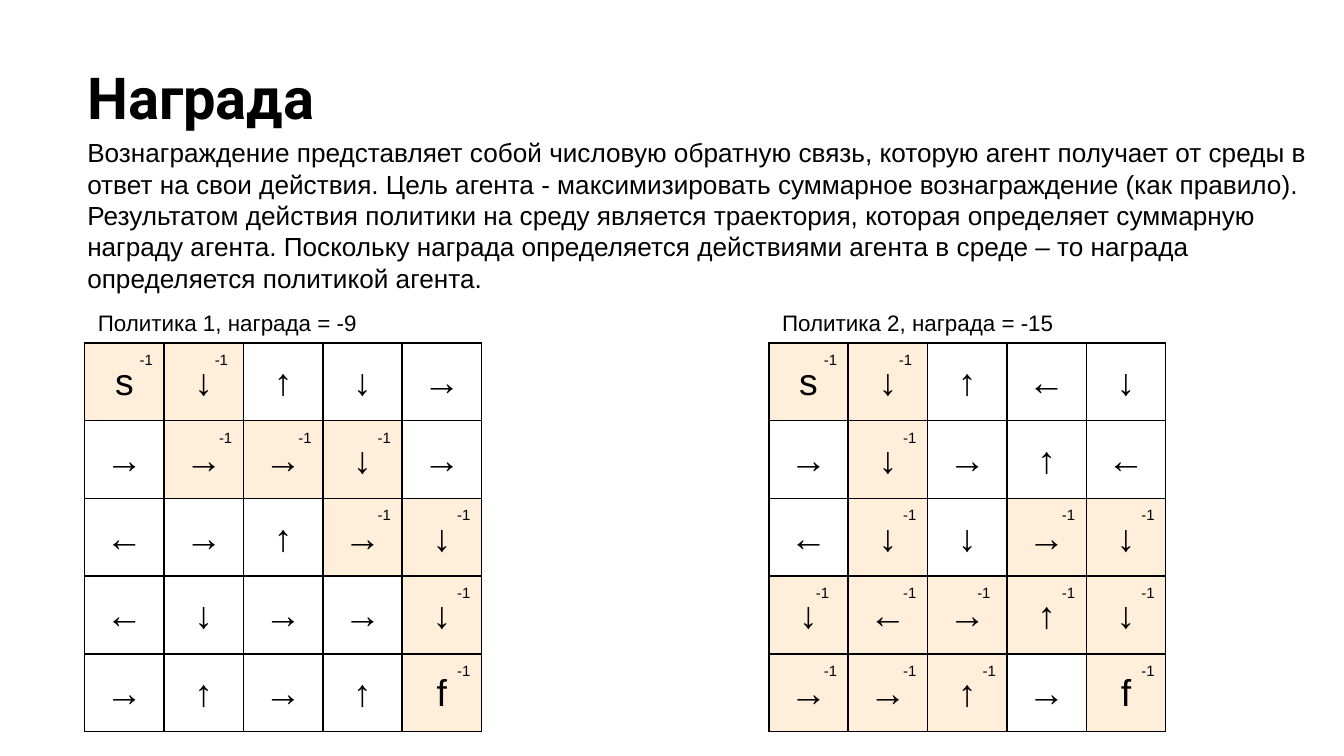
from dataclasses import dataclass

from lxml.etree import SubElement
from pptx import Presentation
from pptx.dml.color import RGBColor as Rgb
from pptx.enum.text import MSO_ANCHOR as Anchor, MSO_AUTO_SIZE as Fit, PP_ALIGN as Align
from pptx.oxml.ns import qn
from pptx.util import Cm, Pt


@dataclass(frozen=True)
class Theme:
    ink: str = "000000"
    paper: str = "FFFFFF"
    trail: str = "FFEED9"
    head_font: str = "Roboto"
    font: str = "Arial"
    head: int = 31
    body: int = 14
    label: int = 12
    mark: int = 20
    reward: int = 8
    line: float = 1


THEME = Theme()
CELL_W, CELL_H = 1.5, 1.47
GRID_TOP = 6.48
LABEL_TOP = 5.72

BODY = (
    "Вознаграждение представляет собой числовую обратную связь, которую агент "
    "получает от среды в ответ на свои действия. Цель агента - максимизировать "
    "суммарное вознаграждение (как правило).",
    "Результатом действия политики на среду является траектория, которая "
    "определяет суммарную награду агента. Поскольку награда определяется "
    "действиями агента в среде – то награда определяется политикой агента.",
)

# Each policy: label, left edge, label width, marks, visited cells (#),
# and sideways shifts of single rewards, keyed by row and column.
POLICIES = (
    ("Политика 1, награда = -9", 1.6, 6.43,
     ("s↓↑↓→", "→→→↓→", "←→↑→↓", "←↓→→↓", "→↑→↑f"),
     ("##...", ".###.", "...##", "....#", "....#"),
     {(0, 1): -0.08}),
    ("Политика 2, награда = -15", 14.53, 5.89,
     ("s↓↑←↓", "→↓→↑←", "←↓↓→↓", "↓←→↑↓", "→→↑→f"),
     ("##...", ".#...", ".#.##", "#####", "###.#"),
     {(0, 1): -0.08, (3, 0): -0.15, (3, 2): -0.1}),
)


def add_run(para, text, size, font=THEME.font, bold=False):
    run = para.add_run()
    run.text = text
    run.font.size = Pt(size)
    run.font.name = font
    run.font.bold = bold
    run.font.color.rgb = Rgb.from_string(THEME.ink)


def add_text(slide, place, lines, size, wrap=True, fit=Fit.SHAPE_TO_FIT_TEXT, **style):
    """Add a text box with one paragraph per line and return its frame."""
    frame = slide.shapes.add_textbox(*map(Cm, place)).text_frame
    frame.word_wrap = wrap
    frame.auto_size = fit
    for i, line in enumerate(lines):
        para = frame.add_paragraph() if i else frame.paragraphs[0]
        add_run(para, line, size, **style)
    return frame


def add_title(slide, text):
    frame = add_text(slide, (1.4, 0.91, 23.67, 3.05), [text], THEME.head,
                     fit=Fit.NONE, font=THEME.head_font, bold=True)
    frame.margin_top = frame.margin_bottom = Cm(0.25)


def add_edges(cell):
    """Draw all four borders; they must come before the fill."""
    props = cell._tc.get_or_add_tcPr()
    for side in ("lnL", "lnR", "lnT", "lnB"):
        edge = SubElement(props, qn(f"a:{side}"), w=str(Pt(THEME.line)))
        fill = SubElement(edge, qn("a:solidFill"))
        SubElement(fill, qn("a:srgbClr"), val=THEME.ink)


def fill_cell(cell, mark, seen):
    cell.margin_left = cell.margin_right = cell.margin_top = Cm(0.03)
    cell.margin_bottom = 0
    cell.vertical_anchor = Anchor.MIDDLE
    add_edges(cell)
    cell.fill.solid()
    cell.fill.fore_color.rgb = Rgb.from_string(THEME.trail if seen else THEME.paper)
    para = cell.text_frame.paragraphs[0]
    para.alignment = Align.CENTER
    add_run(para, mark, THEME.mark)


def add_grid(slide, left, marks, trail):
    rows, cols = len(marks), len(marks[0])
    table = slide.shapes.add_table(rows, cols, Cm(left), Cm(GRID_TOP),
                                   Cm(cols * CELL_W), Cm(rows * CELL_H)).table
    table.first_row = table.horz_banding = False
    for col in table.columns:
        col.width = Cm(CELL_W)
    for r, row in enumerate(table.rows):
        row.height = Cm(CELL_H)
        for c, cell in enumerate(row.cells):
            fill_cell(cell, marks[r][c], trail[r][c] == "#")


def add_rewards(slide, left, trail, shifts):
    for r, row in enumerate(trail):
        for c, flag in enumerate(row):
            if flag == "#":
                x = left + c * CELL_W + 0.79 + shifts.get((r, c), 0)
                y = GRID_TOP + r * CELL_H + 0.02
                add_text(slide, (x, y, 0.76, 0.61), ["-1"], THEME.reward, wrap=False)


def main():
    deck = Presentation()
    deck.slide_width, deck.slide_height = Cm(25.4), Cm(14.29)
    slide = deck.slides.add_slide(deck.slide_layouts[6])
    add_title(slide, "Награда")
    add_text(slide, (1.4, 2.46, 23.67, 3.25), BODY, THEME.body)
    for label, left, width, marks, trail, shifts in POLICIES:
        add_grid(slide, left, marks, trail)
        add_text(slide, (left, LABEL_TOP, width, 0.76), [label], THEME.label)
        add_rewards(slide, left, trail, shifts)
    deck.save("out.pptx")


if __name__ == "__main__":
    main()
